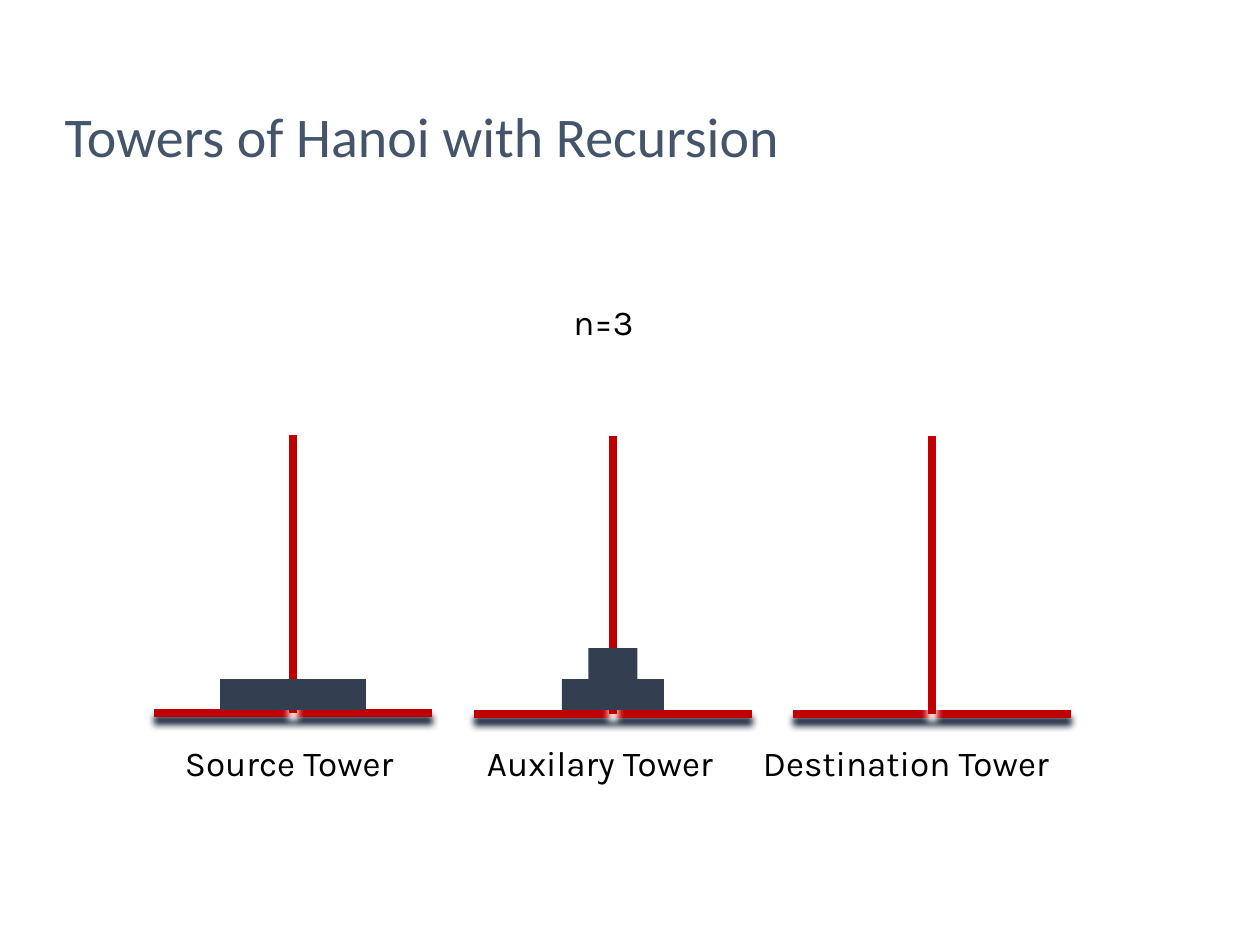
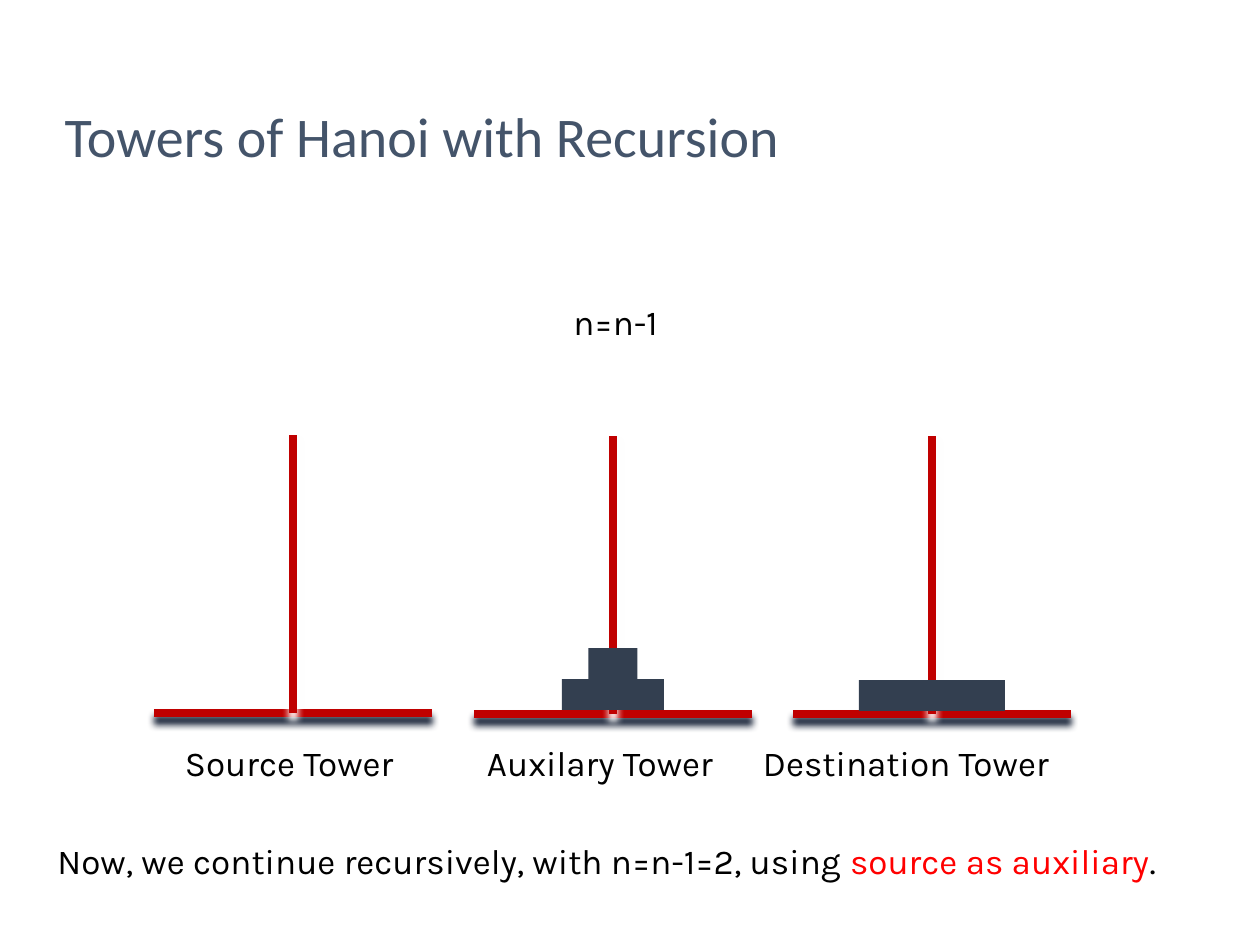
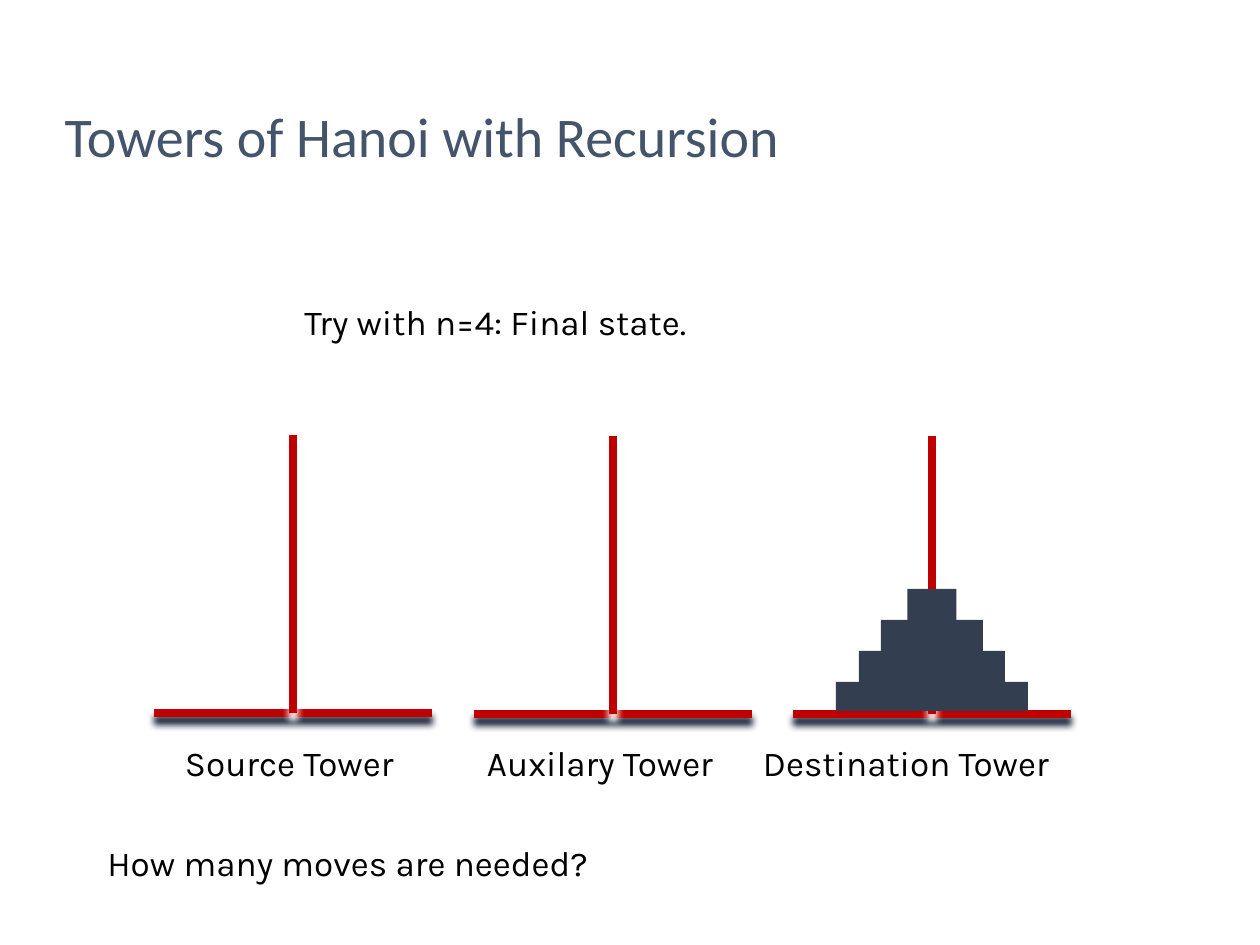
from lxml.etree import SubElement
from pptx import Presentation
from pptx.dml.color import RGBColor
from pptx.enum.shapes import MSO_CONNECTOR, MSO_SHAPE
from pptx.enum.text import MSO_ANCHOR, MSO_AUTO_SIZE, PP_ALIGN
from pptx.oxml.ns import qn
from pptx.util import Pt

SCALE = 914400 / 126
HUES = {
    "title": "44546A",
    "text": "000000",
    "mark": "FF0000",
    "tower": "C00000",
    "disk": "333F50",
    "shade": "101C32",
    "glow": "FFFFFF",
}
HUE = {name: RGBColor.from_string(code) for name, code in HUES.items()}
TITLE = {"name": "Calibri", "size": Pt(32), "bold": False}
BODY = {"name": "Karla", "size": Pt(20), "bold": False}

TOWERS = {
    "source": {"mid": 293, "base": 713, "floor": 710},
    "aux": {"mid": 613, "base": 714, "floor": 710},
    "dest": {"mid": 932, "base": 714, "floor": 711},
}
HALF, RISE = 139, 278
DISKS = {1: (49, 31), 2: (102, 31), 3: (146, 31), 4: (192, 29)}
TABS = (302, 578)
NAMES = [("Source Tower\tAuxilary Tower\tDestination Tower", "text")]

SLIDES = [
    {
        "stacks": {"source": [3], "aux": [2, 1]},
        "width": 1032,
        "notes": [(561, 294, 100, [("n=3", "text")])],
    },
    {
        "stacks": {"aux": [2, 1], "dest": [3]},
        "width": 932,
        "notes": [
            (561, 294, 192, [("n=n-1", "text")]),
            (45, 833, 1171, [
                ("Now, we continue recursively, with n=n-1=2, using ", "text"),
                ("source as auxiliary", "mark"),
                (".", "text"),
            ]),
        ],
    },
    {
        "stacks": {"dest": [4, 3, 2, 1]},
        "width": 953,
        "notes": [
            (292, 294, 546, [("Try with n=4: Final state.", "text")]),
            (95, 835, 934, [("How many moves are needed?", "text")]),
        ],
    },
]


def px(*sizes):
    return [round(size * SCALE) for size in sizes]


def write(shape, runs, style, **frame):
    body = shape.text_frame
    for key, value in frame.items():
        setattr(body, key, value)
    para = body.paragraphs[0]
    para.alignment = PP_ALIGN.LEFT
    for words, hue in runs:
        run = para.add_run()
        run.text = words
        run.font.color.rgb = HUE[hue]
        for key, value in style.items():
            setattr(run.font, key, value)
    return para


deck = Presentation()
deck.slide_width, deck.slide_height = px(1260, 945)

for plan in SLIDES:
    slide = deck.slides.add_slide(deck.slide_layouts[5])
    shapes = slide.shapes

    title = shapes.title
    title.left, title.top, title.width, title.height = px(52, 26, 1216, 149)
    write(title, [("Towers of Hanoi with Recursion", "title")], TITLE,
          vertical_anchor=MSO_ANCHOR.BOTTOM, auto_size=MSO_AUTO_SIZE.NONE)

    for name, tower in TOWERS.items():
        mid, base = tower["mid"], tower["base"]
        lines = [
            ((mid - HALF, base, mid + HALF, base), "shade"),
            ((mid, base, mid, base - RISE), "glow"),
        ]
        for ends, tint in lines:
            line = shapes.add_connector(MSO_CONNECTOR.STRAIGHT, *px(*ends))
            line.line.color.rgb = HUE["tower"]
            line.line.width = Pt(5)
            fx = SubElement(line._element.spPr, qn("a:effectLst"))
            shadow = SubElement(fx, qn("a:outerShdw"), blurRad=str(Pt(4)),
                                dist=str(Pt(4)), dir="5400000", rotWithShape="0")
            SubElement(shadow, qn("a:srgbClr"), val=HUES[tint])

        top = tower["floor"]
        for size in plan["stacks"].get(name, []):
            wide, high = DISKS[size]
            top -= high
            disk = shapes.add_shape(MSO_SHAPE.RECTANGLE,
                                    *px(mid - wide / 2, top, wide, high))
            disk.shadow.inherit = False
            disk.fill.solid()
            disk.fill.fore_color.rgb = HUE["disk"]
            disk.line.fill.background()

    label = shapes.add_textbox(*px(164, 735, plan["width"], 55))
    para = write(label, NAMES, BODY, word_wrap=True, margin_left=px(21)[0],
                 auto_size=MSO_AUTO_SIZE.SHAPE_TO_FIT_TEXT)
    stops = SubElement(para._p.get_or_add_pPr(), qn("a:tabLst"))
    for stop in px(*TABS):
        SubElement(stops, qn("a:tab"), pos=str(stop), algn="l")

    for left, top, wide, runs in plan["notes"]:
        note = shapes.add_textbox(*px(left, top, wide, 55))
        write(note, runs, BODY, word_wrap=True,
              auto_size=MSO_AUTO_SIZE.SHAPE_TO_FIT_TEXT)

deck.save("out.pptx")
